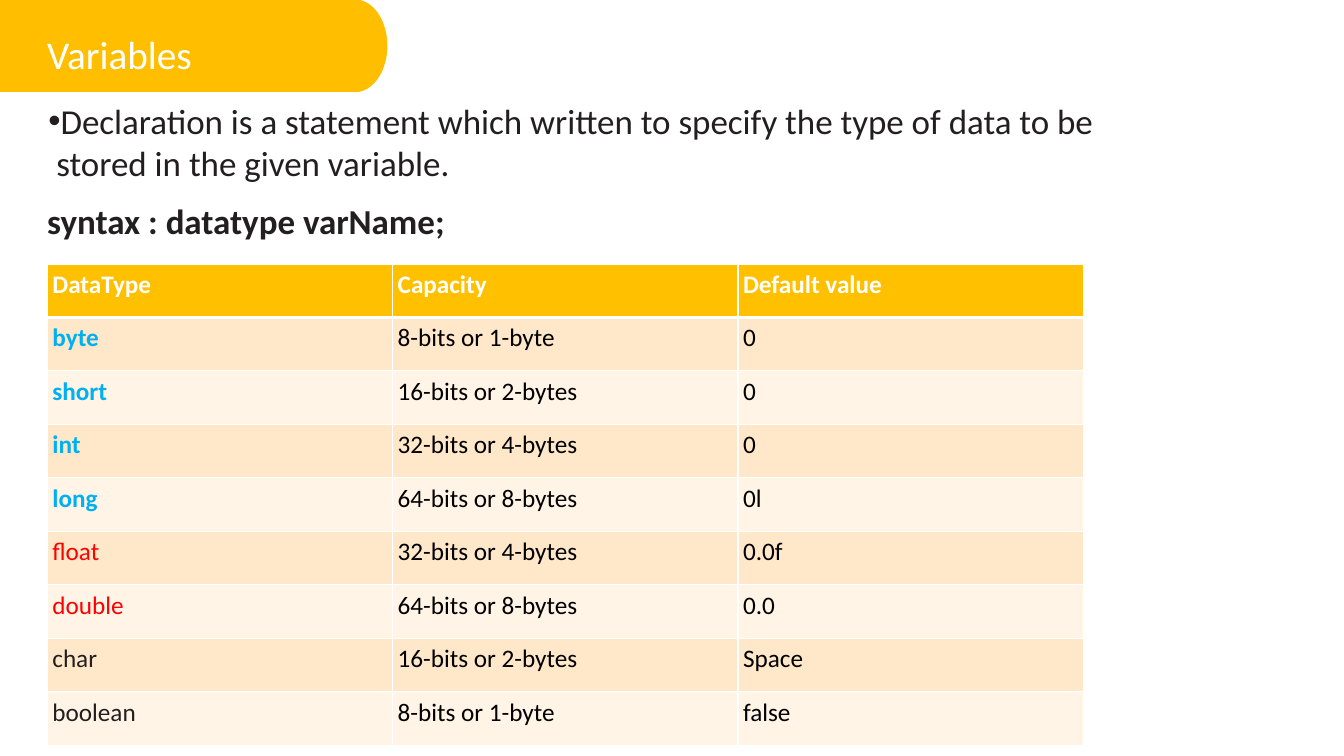
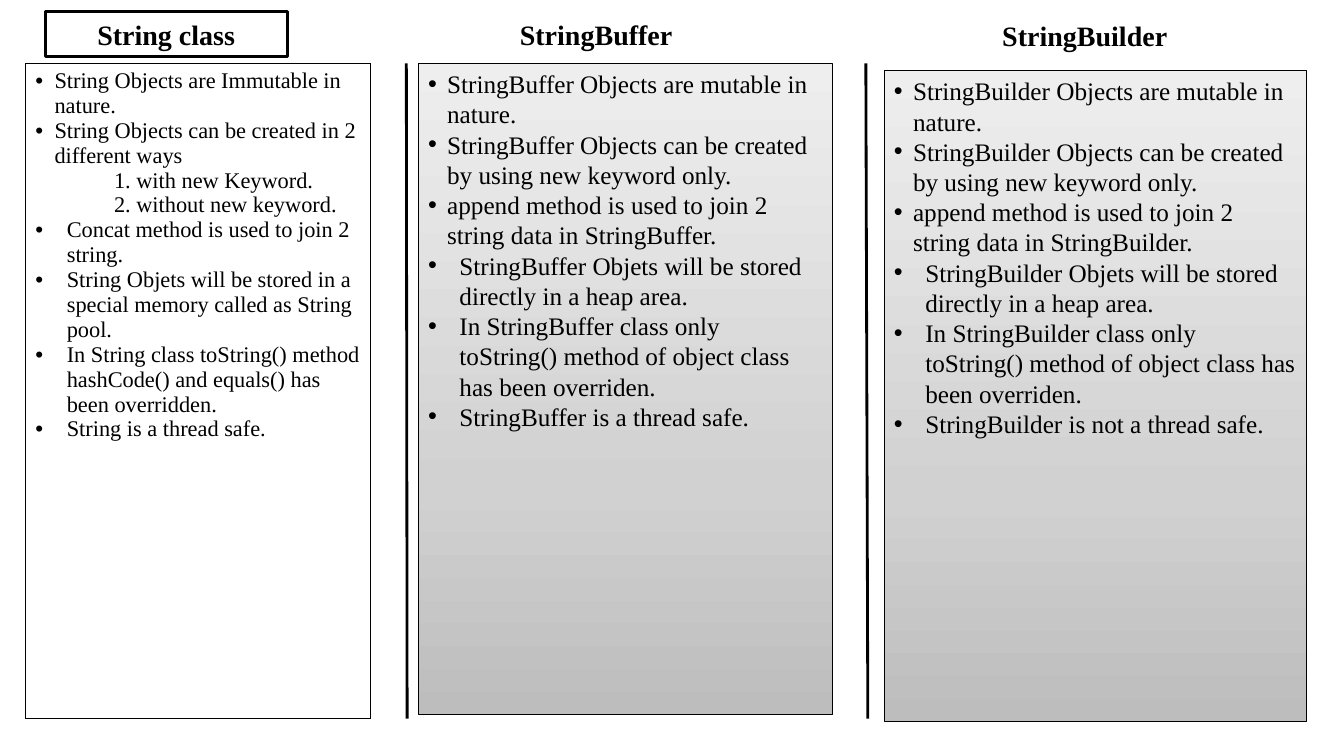
from copy import deepcopy

from lxml.etree import SubElement
from pptx import Presentation
from pptx.dml.color import RGBColor
from pptx.enum.shapes import MSO_CONNECTOR, MSO_SHAPE
from pptx.enum.text import MSO_ANCHOR, MSO_AUTO_SIZE, PP_ALIGN
from pptx.oxml.ns import qn
from pptx.util import Cm, Pt

COLORS = {
    "amber": "FFBF00", "header": "FFC000", "band_dark": "FFE8CA", "band_light": "FFF4E6",
    "white": "FFFFFF", "black": "000000", "ink": "231F20", "blue": "00B0F0", "red": "FF0000",
}
GRADIENT = [(0, "BDBDBD"), (0.35, "D1D1D1"), (1, "EEEEEE")]
SANS, SERIF = "Calibri", "Times New Roman"
MARGIN = 1.19
TITLE_ONLY, BLANK = 5, 6

TITLE = "Variables"
DECLARATION = ("Declaration is a statement which written to specify the type of data "
               "to be stored in the given variable.")
SYNTAX = "syntax : datatype varName;"
HEADER = ("DataType", "Capacity", "Default value")
DATATYPES = [
    ("byte", "8-bits or 1-byte", "0", "blue"),
    ("short", "16-bits or 2-bytes", "0", "blue"),
    ("int", "32-bits or 4-bytes", "0", "blue"),
    ("long", "64-bits or 8-bytes", "0l", "blue"),
    ("float", "32-bits or 4-bytes", "0.0f", "red"),
    ("double", "64-bits or 8-bytes", "0.0", "red"),
    ("char", "16-bits or 2-bytes", "Space", "ink"),
    ("boolean", "8-bits or 1-byte", "false", "ink"),
]

INDENTS = {"near": (0.48, -0.48), "far": (0.79, -0.79), "step": (1.98, 0),
           "declaration": (0.23, -0.2)}
STRING_POINTS = [
    ("near", "String Objects are Immutable in nature."),
    ("near", "String Objects can be created in 2 different ways"),
    ("step", "1. with new Keyword."),
    ("step", "2. without new keyword."),
    ("far", "Concat method is used to join 2 string."),
    ("far", "String Objets will be stored in a special memory called as String pool."),
    ("far", "In String class toString() method hashCode() and equals() has been overridden."),
    ("far", "String is a thread safe."),
]
MUTABLE_POINTS = [
    ("near", "{0} Objects are mutable in nature."),
    ("near", "{0} Objects can be created by using new keyword only."),
    ("near", "append method is used to join 2 string data in {0}."),
    ("far", "{0} Objets will be stored directly in a heap area."),
    ("far", "In {0} class only toString() method of object class has been overriden."),
    ("far", "{0} is {1} thread safe."),
]
STRING_BOX = (0.64, 1.6, 8.7, 16.51)
PANELS = [
    ("StringBuffer", "a", (10.54, 1.6, 10.45, 16.41)),
    ("StringBuilder", "not a", (22.28, 1.78, 10.65, 16.41)),
]
HEADINGS = [
    ("String class", (1.14, 0.3, 6.1, 1.12), True),
    ("StringBuffer", (12.83, 0.3, 4.39, 1.12), False),
    ("StringBuilder", (24.99, 0.33, 4.7, 1.12), False),
]
DIVIDERS = [(10.24, 10.26), (21.82, 21.87)]
DIVIDER_TOP, DIVIDER_BOTTOM = 1.6, 18.11


def rgb(name):
    return RGBColor.from_string(COLORS[name])


def place(box):
    return [Cm(v) for v in box]


def format_runs(p, size, font, color, bold=False):
    for r in p.runs:
        r.font.size, r.font.name, r.font.bold = Pt(size), font, bold
        r.font.color.rgb = rgb(color)


def set_indent(p, kind):
    left, first = INDENTS[kind]
    pPr = p._p.get_or_add_pPr()
    pPr.set("marL", str(Cm(left)))
    pPr.set("indent", str(Cm(first)))
    if first:
        SubElement(pPr, qn("a:buFont"), typeface="Arial")
        SubElement(pPr, qn("a:buChar"), char="•")


def write_points(tf, points, size):
    for i, (kind, text) in enumerate(points):
        p = tf.add_paragraph() if i else tf.paragraphs[0]
        p.text = text
        p.alignment = PP_ALIGN.LEFT
        set_indent(p, kind)
        format_runs(p, size, SERIF, "black")


def set_margins(tf, size):
    tf.margin_left = tf.margin_top = tf.margin_right = tf.margin_bottom = Cm(size)


def add_plain_shape(slide, kind, box, fill, line, width=0.75):
    sp = slide.shapes.add_shape(kind, *place(box))
    sp.shadow.inherit = False
    if fill:
        sp.fill.solid()
        sp.fill.fore_color.rgb = rgb(fill)
    sp.line.color.rgb = rgb(line)
    sp.line.width = Pt(width)
    return sp


def add_text(slide, text, box, bold=False):
    tf = slide.shapes.add_textbox(*place(box)).text_frame
    tf.word_wrap = True
    set_margins(tf, 0)
    tf.text = text
    format_runs(tf.paragraphs[0], 25, SANS, "ink", bold)
    return tf.paragraphs[0]


def add_plain_table(slide, rows, cols, box):
    table = slide.shapes.add_table(rows, cols, *place(box)).table
    table.first_row = table.horz_banding = False
    return table


def set_borders(cell, color, **widths):
    tcPr = cell._tc.get_or_add_tcPr()
    for side in "LRTB":
        ln = SubElement(tcPr, qn(f"a:ln{side}"), w=str(Pt(widths.get(side, 1))))
        fill = SubElement(ln, qn("a:solidFill"))
        SubElement(fill, qn("a:srgbClr"), val=COLORS[color])


def add_banner_title(slide, text):
    title = slide.shapes.title
    for kind, box in [(MSO_SHAPE.RECTANGLE, (0, 0, 8.84, 2.31)),
                      (MSO_SHAPE.OVAL, (8.15, 0, 1.6, 2.31))]:
        sp = add_plain_shape(slide, kind, box, "amber", "amber")
        title.element.addprevious(sp.element)
    title.left, title.top, title.width, title.height = place((MARGIN, 0.76, 9.78, 1.24))
    tf = title.text_frame
    tf.text = text
    tf.auto_size = MSO_AUTO_SIZE.NONE
    tf.vertical_anchor = MSO_ANCHOR.TOP
    set_margins(tf, 0)
    tf.paragraphs[0].alignment = PP_ALIGN.LEFT
    format_runs(tf.paragraphs[0], 28, SANS, "white")


def add_datatype_table(slide):
    rows = [HEADER] + [row[:3] for row in DATATYPES]
    table = add_plain_table(slide, len(rows), 3, (MARGIN, 6.65, 26.11, 12.14))
    for i, row in enumerate(rows):
        band = ("band_light", "band_dark")[i % 2] if i else "header"
        for j, text in enumerate(row):
            cell = table.cell(i, j)
            set_borders(cell, "white", T=3 if i == 1 else 1, B=1 if i else 3)
            cell.fill.solid()
            cell.fill.fore_color.rgb = rgb(band)
            set_margins(cell, 0.13)
            cell.text = text
            color, bold = "black", False
            if i == 0:
                color, bold = "white", True
            elif j == 0:
                color = DATATYPES[i - 1][3]
                bold = color == "blue"
            format_runs(cell.text_frame.paragraphs[0], 18, SANS, color, bold)


def build_variables(prs):
    slide = prs.slides.add_slide(prs.slide_layouts[TITLE_ONLY])
    add_banner_title(slide, TITLE)
    p = add_text(slide, DECLARATION, (MARGIN, 2.51, 28.73, 2.18))
    set_indent(p, "declaration")
    add_text(slide, SYNTAX, (MARGIN, 5.03, 28.73, 1.09), True)
    add_datatype_table(slide)


def add_divider(slide, top_x, bottom_x):
    line = slide.shapes.add_connector(
        MSO_CONNECTOR.STRAIGHT, *place((top_x, DIVIDER_TOP, bottom_x, DIVIDER_BOTTOM)))
    line.line.color.rgb = rgb("black")
    line.line.width = Pt(2)
    SubElement(line.element.spPr, qn("a:effectLst"))


def add_panel(slide, name, article, box):
    sp = add_plain_shape(slide, MSO_SHAPE.RECTANGLE, box, None, "black")
    sp.fill.gradient()
    sp.fill.gradient_angle = 90
    stops = sp.element.find(".//" + qn("a:gsLst"))
    stops.append(deepcopy(stops[0]))
    for stop, (position, color) in zip(sp.fill.gradient_stops, GRADIENT):
        stop.position = position
        stop.color.rgb = RGBColor.from_string(color)
    tf = sp.text_frame
    tf.word_wrap = True
    tf.vertical_anchor = MSO_ANCHOR.TOP
    write_points(tf, [(k, t.format(name, article)) for k, t in MUTABLE_POINTS], 18)


def add_heading(slide, text, box, framed):
    if framed:
        sp = add_plain_shape(slide, MSO_SHAPE.RECTANGLE, box, "white", "black", 2)
    else:
        sp = slide.shapes.add_textbox(*place(box))
    tf = sp.text_frame
    tf.word_wrap = framed
    set_margins(tf, 0.13)
    tf.text = text
    tf.paragraphs[0].alignment = PP_ALIGN.CENTER
    format_runs(tf.paragraphs[0], 20, SERIF, "black", True)


def build_string_classes(prs):
    slide = prs.slides.add_slide(prs.slide_layouts[BLANK])
    for xs in DIVIDERS:
        add_divider(slide, *xs)
    cell = add_plain_table(slide, 1, 1, STRING_BOX).cell(0, 0)
    set_borders(cell, "black")
    cell.fill.background()
    write_points(cell.text_frame, STRING_POINTS, 16)
    for panel in PANELS:
        add_panel(slide, *panel)
    for heading in HEADINGS:
        add_heading(slide, *heading)


def main():
    prs = Presentation()
    prs.slide_width, prs.slide_height = Cm(33.87), Cm(19.05)
    build_variables(prs)
    build_string_classes(prs)
    prs.save("out.pptx")


if __name__ == "__main__":
    main()
